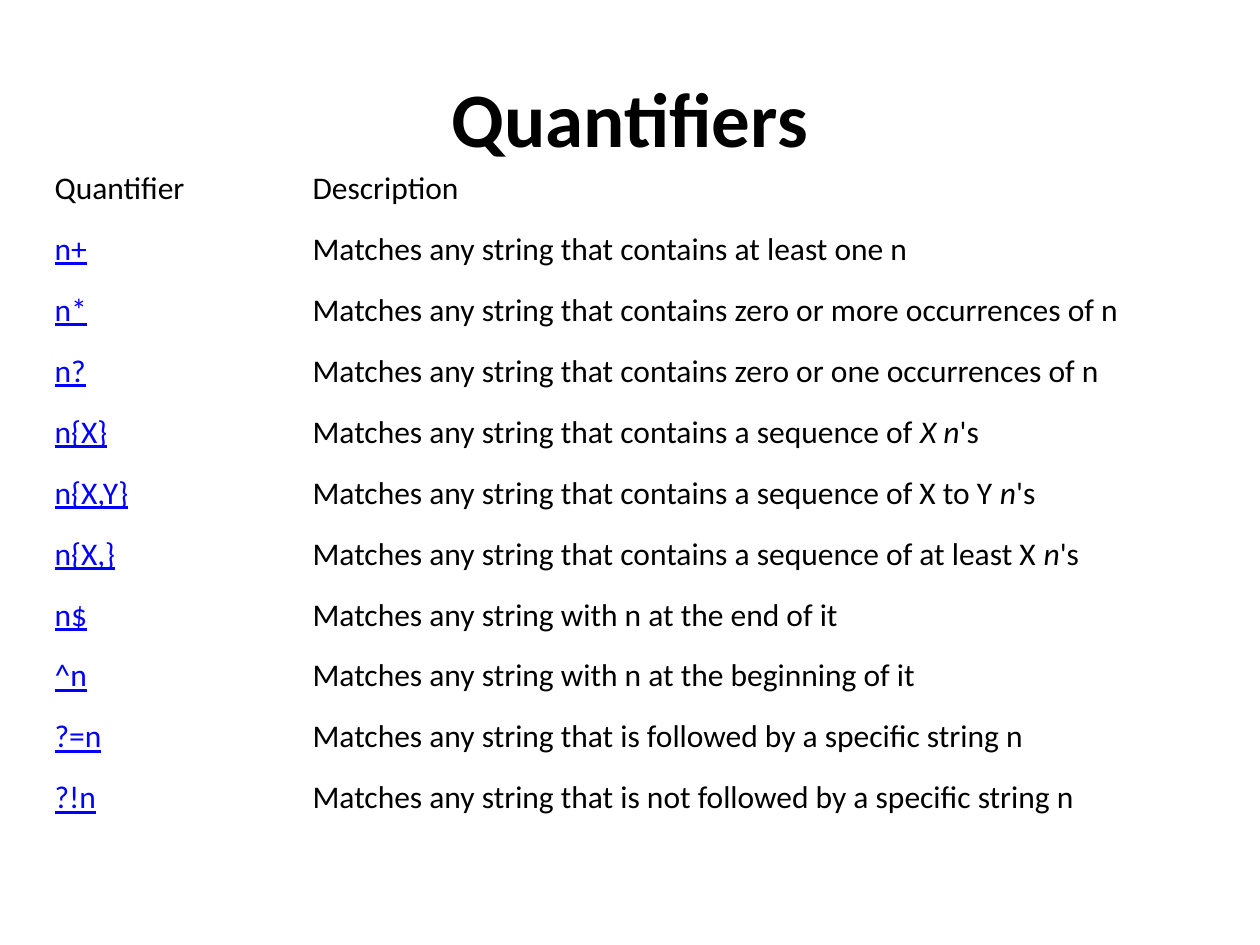
from pptx import Presentation
from pptx import util as u
from pptx.dml.color import RGBColor
from pptx.enum import text

HUES = {"ink": "000000", "link": "0000FF", "page": "FFFFFF"}
ROWS = [
    ("Quantifier", "Description"),
    ("n+", "Matches any string that contains at least one n"),
    ("n*", "Matches any string that contains zero or more occurrences of n"),
    ("n?", "Matches any string that contains zero or one occurrences of n"),
    ("n{X}", "Matches any string that contains a sequence of _X n_'s"),
    ("n{X,Y}", "Matches any string that contains a sequence of X to Y _n_'s"),
    ("n{X,}", "Matches any string that contains a sequence of at least X _n_'s"),
    ("n$", "Matches any string with n at the end of it"),
    ("^n", "Matches any string with n at the beginning of it"),
    ("?=n", "Matches any string that is followed by a specific string n"),
    ("?!n", "Matches any string that is not followed by a specific string n"),
]


def px(n):
    return u.Emu(round(n * 914400 / 126))


def write(frame, words, size=18, hue="ink", bold=False, line=False,
          align=text.PP_ALIGN.LEFT, face="Calibri"):
    para = frame.paragraphs[0]
    para.alignment = align
    for i, part in enumerate(words.split("_")):
        run = para.add_run()
        run.text = part
        font = run.font
        font.name, font.size = face, u.Pt(size)
        font.bold, font.italic, font.underline = bold, i % 2 == 1, line
        font.color.rgb = RGBColor.from_string(HUES[hue])


class Deck:
    def __init__(self, face, wide, high):
        self.face = face
        self.prs = Presentation()
        self.prs.slide_width, self.prs.slide_height = px(wide), px(high)
        self.slide = self.prs.slides.add_slide(self.prs.slide_layouts[5])
        fill = self.slide.background.fill
        fill.solid()
        fill.fore_color.rgb = RGBColor.from_string(HUES["page"])

    def title(self, words, x, y, w, h):
        box = self.slide.shapes.title
        box.left, box.top, box.width, box.height = map(px, (x, y, w, h))
        box.text_frame.vertical_anchor = text.MSO_ANCHOR.MIDDLE
        write(box.text_frame, words, size=44, bold=True,
              align=text.PP_ALIGN.CENTER, face=self.face)

    def table(self, rows, x, y, cols, step):
        grid = self.slide.shapes.add_table(
            len(rows), len(cols), px(x), px(y),
            px(sum(cols)), px(step * len(rows))).table
        grid.first_row = grid.horz_banding = False
        for col, wide in zip(grid.columns, cols):
            col.width = px(wide)
        for r, row in enumerate(rows):
            grid.rows[r].height = px(step)
            for c, words in enumerate(row):
                cell = grid.cell(r, c)
                cell.fill.background()
                cell.vertical_anchor = text.MSO_ANCHOR.MIDDLE
                link = r > 0 and c == 0
                write(cell.text_frame, words, line=link,
                      hue="link" if link else "ink", face=self.face)


def main():
    deck = Deck("Calibri", 1260, 945)
    deck.title("Quantifiers", 63, 38, 1134, 158)
    deck.table(ROWS, 42, 158, (258, 918), 61)
    deck.prs.save("out.pptx")


if __name__ == "__main__":
    main()
